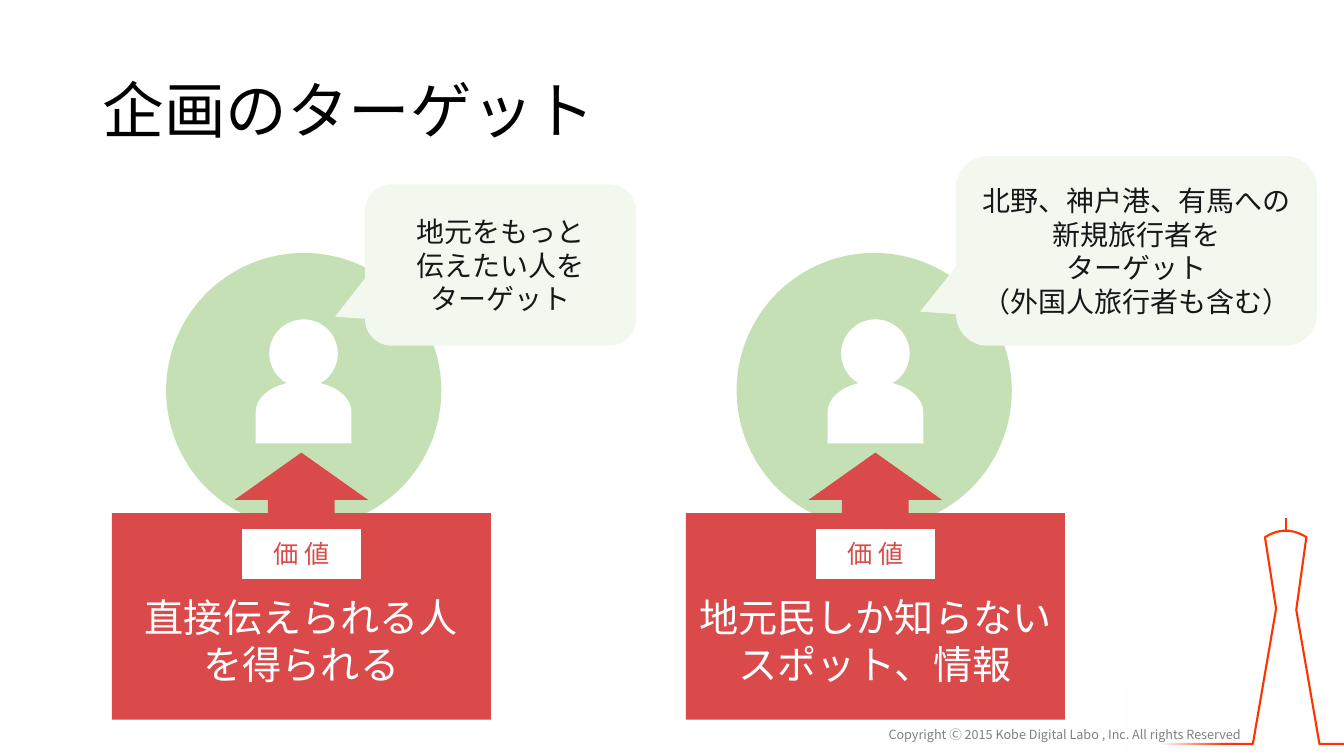
from dataclasses import dataclass

import pptx
import pptx.dml.color
import pptx.enum.shapes
import pptx.enum.text
import pptx.oxml.ns
import pptx.util
from lxml import etree

RGBColor = pptx.dml.color.RGBColor
Shape = pptx.enum.shapes.MSO_SHAPE
Align = pptx.enum.text.PP_ALIGN
Anchor = pptx.enum.text.MSO_ANCHOR
qn = pptx.oxml.ns.qn

# Palette and font
WHITE = RGBColor(0xFF, 0xFF, 0xFF)
BLACK = RGBColor(0x00, 0x00, 0x00)
INK = RGBColor(0x18, 0x17, 0x17)
GREY = RGBColor(0x80, 0x80, 0x80)
GREEN = RGBColor(0xC5, 0xE0, 0xB4)
PALE_GREEN = RGBColor(0xF2, 0xF8, 0xEE)
RED = RGBColor(0xDA, 0x4A, 0x4A)
TOWER_RED = RGBColor(0xFF, 0x33, 0x00)
FONT = "Noto Sans CJK JP"

# Grid of square cells: 160 columns by 90 rows
COLUMNS, ROWS = 160, 90
SLIDE_HEIGHT = pptx.util.Inches(7.5)
CELL = SLIDE_HEIGHT / ROWS

Point = tuple[float, float]


@dataclass(frozen=True)
class Box:
    left: float
    top: float
    width: float
    height: float

    def emu(self) -> list[int]:
        return [cells(n) for n in (self.left, self.top, self.width, self.height)]


@dataclass(frozen=True)
class Style:
    size: float
    color: RGBColor
    align: Align = Align.CENTER
    anchor: Anchor = Anchor.MIDDLE
    spacing: float | None = None


@dataclass(frozen=True)
class Audience:
    circle_left: float
    person_center: float
    bubble: Box
    bubble_tail: Point
    target: tuple[str, ...]
    value_left: float
    value: tuple[str, ...]


TITLE = Style(44, BLACK, Align.LEFT, spacing=0.9)
COPYRIGHT = Style(9, GREY, Align.RIGHT, Anchor.TOP)
TARGET = Style(20, INK)
VALUE = Style(28, WHITE)
BADGE = Style(18, RED)

CIRCLE_TOP, CIRCLE_SIZE = 30.12, 32.76
PERSON_TOP = 38.02
VALUE_TOP, VALUE_WIDTH, VALUE_HEIGHT = 53.88, 45.12, 31.8
BADGE_TOP, BADGE_WIDTH, BADGE_HEIGHT = 62.94, 14.16, 6
VALUE_INSET = 6.3

AUDIENCES = (
    Audience(87.7, 104.22, Box(113.82, 18.6, 42.96, 22.56), (-0.6, 0.32),
             ("北野、神戸港、有馬への新規旅行者を", "ターゲット", "（外国人旅行者も含む）"),
             81.65, ("地元民しか知らないスポット、情報",)),
    Audience(19.78, 36.14, Box(43.44, 21.96, 32.28, 19.2), (-0.61, 0.32),
             ("地元をもっと", "伝えたい人を", "ターゲット"),
             13.32, ("直接伝えられる人", "を得られる")),
)


def cells(count: float) -> int:
    return round(count * CELL)


def write(shape, lines: tuple[str, ...], style: Style) -> None:
    frame = shape.text_frame
    frame.word_wrap = True
    frame.vertical_anchor = style.anchor
    for number, line in enumerate(lines):
        paragraph = frame.add_paragraph() if number else frame.paragraphs[0]
        paragraph.alignment = style.align
        if style.spacing:
            paragraph.line_spacing = style.spacing
        run = paragraph.add_run()
        run.text = line
        run.font.size = pptx.util.Pt(style.size)
        run.font.color.rgb = style.color
        run.font.name = FONT
        etree.SubElement(run.font._element, qn("a:ea"), typeface=FONT)


def add_text(slide, box: Box, line: str, style: Style) -> None:
    write(slide.shapes.add_textbox(*box.emu()), (line,), style)


def add_block(slide, kind: Shape, box: Box, color: RGBColor):
    block = slide.shapes.add_shape(kind, *box.emu())
    block.shadow.inherit = False
    block.fill.solid()
    block.fill.fore_color.rgb = color
    block.line.fill.background()
    return block


def add_outline(slide, points: list[Point], steps: list[int], close: bool):
    """Draw an outline; a step takes one point for a line, three for a curve."""
    start, *rest = [(cells(x), cells(y)) for x, y in points]
    builder = slide.shapes.build_freeform(*start)
    builder.add_line_segments(rest, close=close)
    outline = builder.convert_to_shape()
    outline.shadow.inherit = False
    segments = iter(outline._element.spPr.findall(".//" + qn("a:lnTo")))
    for step in steps:
        segment = next(segments)
        if step == 3:
            segment.tag = qn("a:cubicBezTo")
            for _ in range(2):
                control = next(segments)
                segment.append(control[0])
                control.getparent().remove(control)
    return outline


def add_tower(slide) -> None:
    tower = add_outline(slide, [(134.16, 88.56), (149.16, 88.56), (151.92, 72.48),
                                (150.6, 63.96), (152.64, 62.64), (154.44, 63.24),
                                (155.52, 63.96), (154.32, 72.6), (157.08, 88.56),
                                (161.52, 88.56)], [1, 1, 1, 3, 1, 1, 1], False)
    tower.fill.background()
    mast = slide.shapes.add_connector(pptx.enum.shapes.MSO_CONNECTOR.STRAIGHT,
                                      cells(153.12), cells(61.68), cells(153.12), cells(63.24))
    etree.SubElement(mast._element.spPr, qn("a:effectLst"))
    for part in (tower, mast):
        part.line.color.rgb = TOWER_RED
        part.line.width = pptx.util.Pt(1.5)

    # White veil that fades out the start of the ground line
    veil = add_block(slide, Shape.RECTANGLE, Box(133.8, 81.96, 12.12, 7.68), WHITE)
    veil.fill.gradient()
    veil.fill.gradient_angle = 0
    for stop, position in zip(veil.fill.gradient_stops, (0.36, 1)):
        stop.position = position
        stop.color.rgb = WHITE
    clear = veil._element.spPr.findall(".//" + qn("a:srgbClr"))[-1]
    etree.SubElement(clear, qn("a:alpha"), val="0")


def add_circle(slide, audience: Audience) -> None:
    add_block(slide, Shape.OVAL,
              Box(audience.circle_left, CIRCLE_TOP, CIRCLE_SIZE, CIRCLE_SIZE), GREEN)


def add_person(slide, audience: Audience) -> None:
    # Right half from crown to base, then its mirror image back up
    half = [(0, 0), (2.24, 0), (4.08, 1.83), (4.08, 4.08),
            (4.08, 5.4), (3.36, 6.72), (2.28, 7.44), (1.98, 7.56), (2.28, 7.68),
            (4.2, 8.16), (5.7, 9.48), (5.7, 11.04), (5.7, 14.76)]
    steps = [3, 3, 1, 1, 3, 1]
    whole = half + [(-x, y) for x, y in reversed(half)]
    points = [(audience.person_center + x, PERSON_TOP + y) for x, y in whole]
    person = add_outline(slide, points, [*steps, 1, *reversed(steps)], True)
    person.fill.solid()
    person.fill.fore_color.rgb = WHITE
    person.line.fill.background()


def add_bubble(slide, audience: Audience) -> None:
    bubble = add_block(slide, Shape.ROUNDED_RECTANGULAR_CALLOUT, audience.bubble, PALE_GREEN)
    bubble.adjustments[0], bubble.adjustments[1] = audience.bubble_tail
    write(bubble, audience.target, TARGET)


def add_value(slide, audience: Audience) -> None:
    value = add_block(slide, Shape.UP_ARROW_CALLOUT,
                      Box(audience.value_left, VALUE_TOP, VALUE_WIDTH, VALUE_HEIGHT), RED)
    for index, share in enumerate((0.25, 0.25, 0.177, 0.773)):
        value.adjustments[index] = share
    value.text_frame.margin_top = cells(VALUE_INSET)
    write(value, audience.value, VALUE)

    badge_left = audience.value_left + (VALUE_WIDTH - BADGE_WIDTH) / 2
    badge = add_block(slide, Shape.FLOWCHART_PROCESS,
                      Box(badge_left, BADGE_TOP, BADGE_WIDTH, BADGE_HEIGHT), WHITE)
    write(badge, ("価 値",), BADGE)


def main() -> None:
    deck = pptx.Presentation()
    deck.slide_width, deck.slide_height = cells(COLUMNS), SLIDE_HEIGHT
    slide = deck.slides.add_slide(deck.slide_layouts[6])
    add_tower(slide)
    add_text(slide, Box(71.08, 85.98, 77.76, 3),
             "Copyright Ⓒ 2015 Kobe Digital Labo , Inc. All rights Reserved", COPYRIGHT)
    add_text(slide, Box(11.04, 4.8, 138, 17.4), "企画のターゲット", TITLE)
    # Layers from back to front
    for add_layer in (add_circle, add_person, add_bubble, add_value):
        for audience in AUDIENCES:
            add_layer(slide, audience)
    deck.save("out.pptx")


if __name__ == "__main__":
    main()
